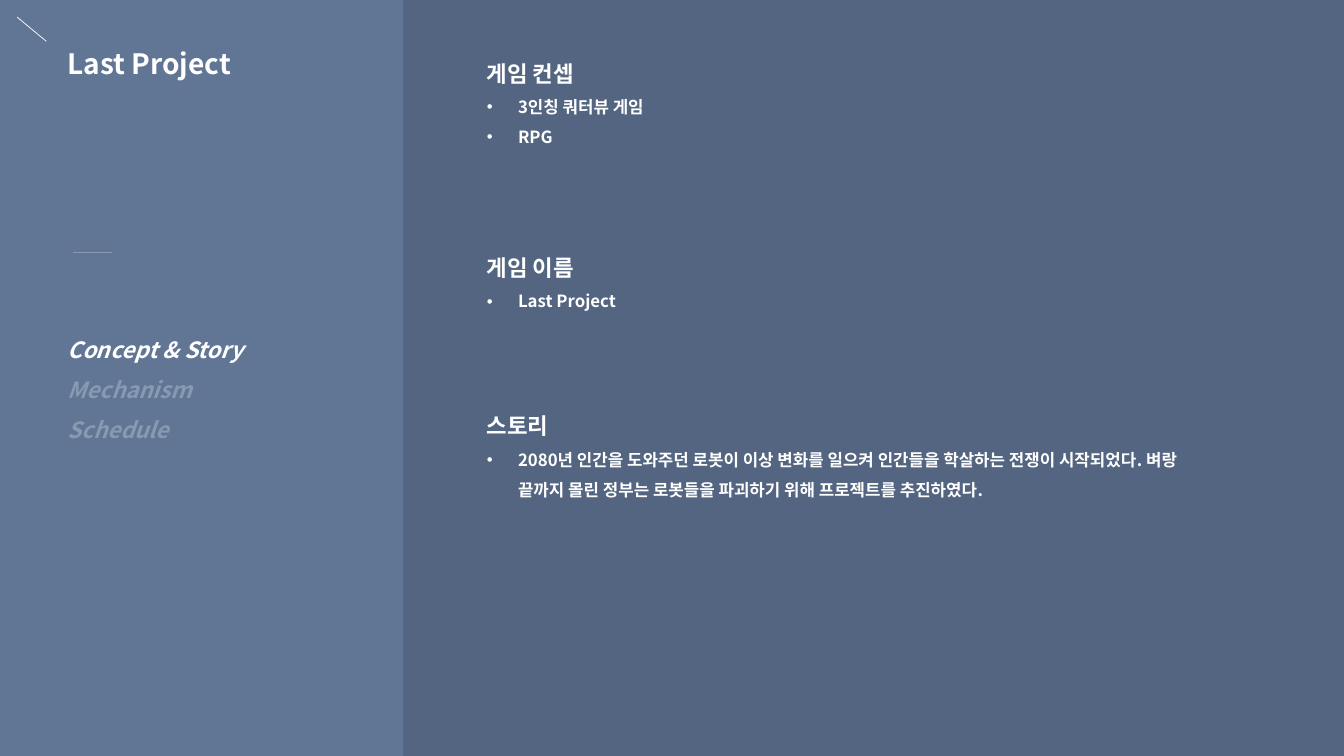
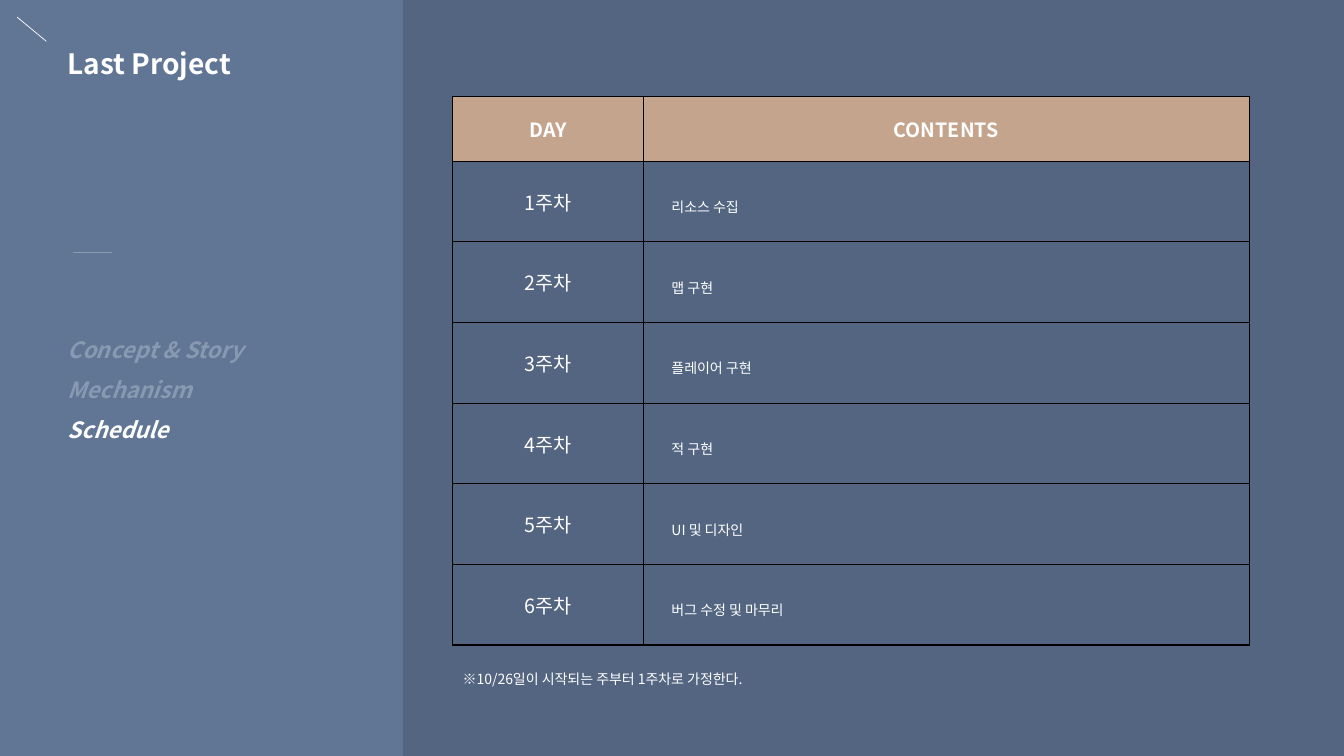
from dataclasses import dataclass

from lxml import etree
from pptx import Presentation
from pptx.dml.color import RGBColor
from pptx.enum.shapes import MSO_CONNECTOR
from pptx.enum.text import MSO_ANCHOR, MSO_AUTO_SIZE, PP_ALIGN
from pptx.oxml.ns import qn
from pptx.util import Pt

STRAIGHT = MSO_CONNECTOR.STRAIGHT
MIDDLE = MSO_ANCHOR.MIDDLE
FIT_SHAPE = MSO_AUTO_SIZE.SHAPE_TO_FIT_TEXT
LEFT, CENTER = PP_ALIGN.LEFT, PP_ALIGN.CENTER
EMU_PER_PX = 9144  # 100 px to the inch
BLANK_LAYOUT = 6


@dataclass(frozen=True)
class Theme:
    font: str = "Noto Sans CJK KR"
    panel: str = "617695"
    page: str = "536580"
    white: str = "FFFFFF"
    muted: str = "8899B2"
    header: str = "C5A48D"
    border: str = "000000"
    title: int = 20
    heading: int = 16
    table: int = 14
    body: int = 12
    small: int = 10
    spacing: float = 1.5
    panel_share: float = 0.3


THEME = Theme()
PROJECT = "Last Project"
SECTIONS = ["Concept & Story", "Mechanism", "Schedule"]
TOPICS = [  # top, width, heading, bullets
    (41, 459, "게임 컨셉", ["3인칭 쿼터뷰 게임", "RPG"]),
    (234, 459, "게임 이름", [PROJECT]),
    (391, 745, "스토리", [
        "2080년 인간을 도와주던 로봇이 이상 변화를 일으켜 인간들을 학살하는 전쟁이 시작되었다. "
        "벼랑 끝까지 몰린 정부는 로봇들을 파괴하기 위해 프로젝트를 추진하였다."]),
]
WEEKLY_TASKS = ["리소스 수집", "맵 구현", "플레이어 구현", "적 구현",
                "UI 및 디자인", "버그 수정 및 마무리"]


def px(length):
    return length * EMU_PER_PX


def rgb(color):
    return RGBColor.from_string(color)


class Deck:
    def __init__(self, theme):
        self.theme = theme
        self.presentation = Presentation()
        self.presentation.slide_width = px(1333)
        self.presentation.slide_height = px(750)
        self.slide = None

    def add_slide(self, current_section):
        """Start a slide with the two-tone background and the side panel."""
        theme = self.theme
        layout = self.presentation.slide_layouts[BLANK_LAYOUT]
        self.slide = self.presentation.slides.add_slide(layout)
        fill = self.slide.background.fill
        fill.gradient()
        fill.gradient_angle = 0
        for stop, color in zip(fill.gradient_stops, (theme.panel, theme.page)):
            stop.position = theme.panel_share
            stop.color.rgb = rgb(color)

        self.line(17, 17, 46, 41, theme.white)
        self.line(72, 250, 111, 250, theme.muted)
        title = self.text_box(57, 41, 213, 44)
        self.paragraph(title, PROJECT, theme.title, bold=True)
        menu = self.text_box(57, 315, 300, 131)
        for section in SECTIONS:
            color = theme.white if section == current_section else theme.muted
            self.paragraph(menu, section, theme.heading, color, bold=True,
                           italic=True, spacing=theme.spacing)

    def line(self, x1, y1, x2, y2, color):
        connector = self.slide.shapes.add_connector(
            STRAIGHT, px(x1), px(y1), px(x2), px(y2))
        connector.line.color.rgb = rgb(color)
        connector.line.width = Pt(0.5)
        etree.SubElement(connector._element.spPr, qn("a:effectLst"))

    def text_box(self, left, top, width, height):
        shape = self.slide.shapes.add_textbox(px(left), px(top), px(width), px(height))
        frame = shape.text_frame
        frame.word_wrap = True
        frame.auto_size = FIT_SHAPE
        return frame

    def paragraph(self, frame, text, size, color=None, bold=False, italic=False,
                  spacing=None, align=LEFT, bullet=False):
        """Fill the empty first paragraph, or add one after it."""
        paragraph = frame.paragraphs[0]
        if paragraph.runs:
            paragraph = frame.add_paragraph()
        paragraph.add_run().text = text
        paragraph.alignment = align
        if spacing:
            paragraph.line_spacing = spacing
        properties = paragraph._p.get_or_add_pPr()
        if bullet:
            properties.set("marL", str(px(31)))
            properties.set("indent", str(px(-31)))
            etree.SubElement(properties, qn("a:buFont"), typeface="Arial")
            etree.SubElement(properties, qn("a:buChar"), char="•")
        font = paragraph.font
        font.size = Pt(size)
        font.bold = bold
        font.italic = italic
        font.color.rgb = rgb(color or self.theme.white)
        font.name = self.theme.font
        # Korean letters take their typeface from the East Asian slot
        etree.SubElement(properties.find(qn("a:defRPr")), qn("a:ea"),
                         typeface=self.theme.font)

    def topic(self, top, width, heading, bullets):
        theme = self.theme
        frame = self.text_box(473, top, width, 51 + 30 * len(bullets))
        self.paragraph(frame, heading, theme.heading, bold=True, spacing=theme.spacing)
        for text in bullets:
            self.paragraph(frame, text, theme.body, bold=True,
                           spacing=theme.spacing, bullet=True)

    def cell(self, cell, text, size, fill=None, **style):
        properties = cell._tc.get_or_add_tcPr()
        for side in ("lnL", "lnR", "lnT", "lnB"):
            border = etree.SubElement(properties, qn(f"a:{side}"), w=str(Pt(1)))
            solid = etree.SubElement(border, qn("a:solidFill"))
            etree.SubElement(solid, qn("a:srgbClr"), val=self.theme.border)
        if fill:
            cell.fill.solid()
            cell.fill.fore_color.rgb = rgb(fill)
        else:
            cell.fill.background()
        cell.vertical_anchor = MIDDLE
        self.paragraph(cell.text_frame, text, size, **style)

    def schedule(self, left, top, widths, header_height, row_height, tasks):
        theme = self.theme
        height = header_height + row_height * len(tasks)
        table = self.slide.shapes.add_table(
            len(tasks) + 1, len(widths), px(left), px(top),
            px(sum(widths)), px(height)).table
        table.first_row = table.horz_banding = False
        for column, width in zip(table.columns, widths):
            column.width = px(width)
        for index, row in enumerate(table.rows):
            row.height = px(row_height if index else header_height)

        for column, label in enumerate(("DAY", "CONTENTS")):
            self.cell(table.cell(0, column), label, theme.table, theme.header,
                      bold=True, align=CENTER)
        for week, task in enumerate(tasks, start=1):
            self.cell(table.cell(week, 0), f"{week}주차", theme.table, align=CENTER)
            content = table.cell(week, 1)
            content.margin_left = px(28)
            self.cell(content, task, theme.small, spacing=theme.spacing)


def main():
    deck = Deck(THEME)

    # Concept and story
    deck.add_slide("Concept & Story")
    for topic in TOPICS:
        deck.topic(*topic)

    # Weekly schedule
    deck.add_slide("Schedule")
    deck.schedule(449, 96, (189, 601), 64, 80, WEEKLY_TASKS)
    note = deck.text_box(449, 660, 790, 27)
    deck.paragraph(note, "※10/26일이 시작되는 주부터 1주차로 가정한다.", THEME.small)

    deck.presentation.save("out.pptx")


if __name__ == "__main__":
    main()
